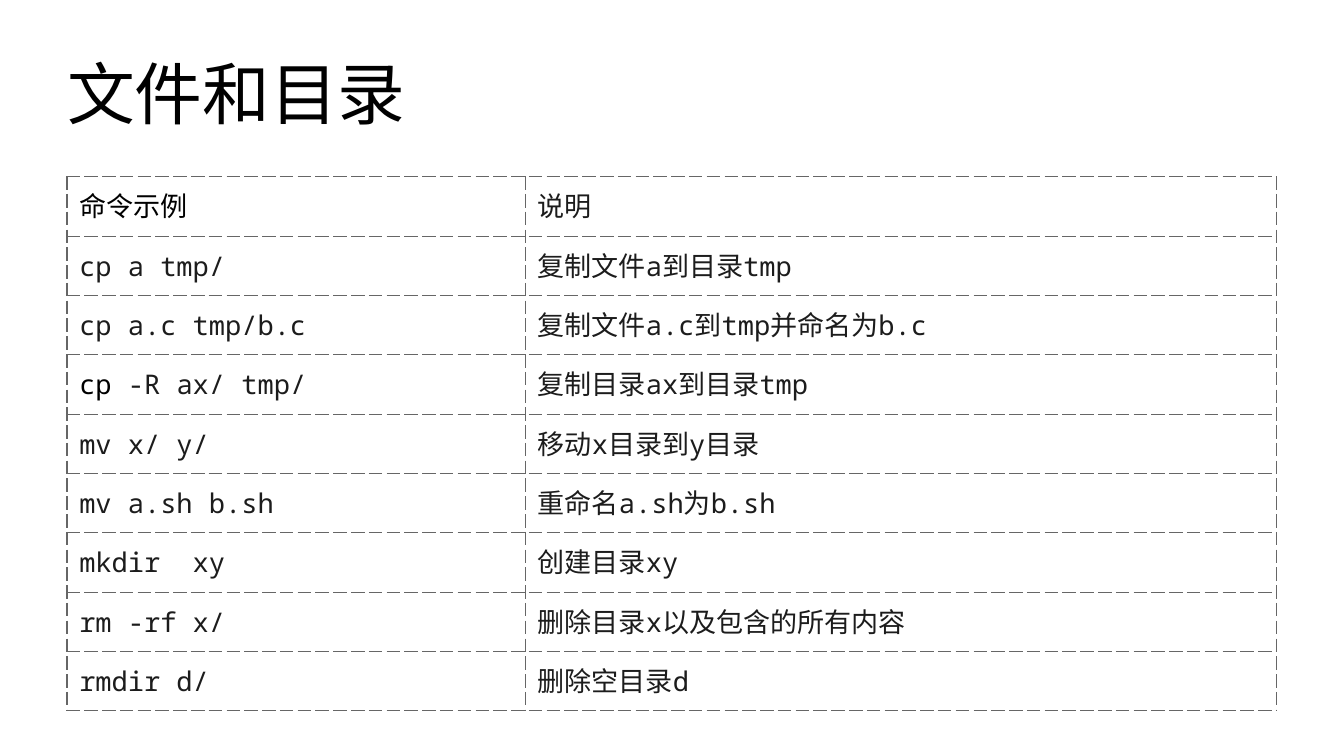
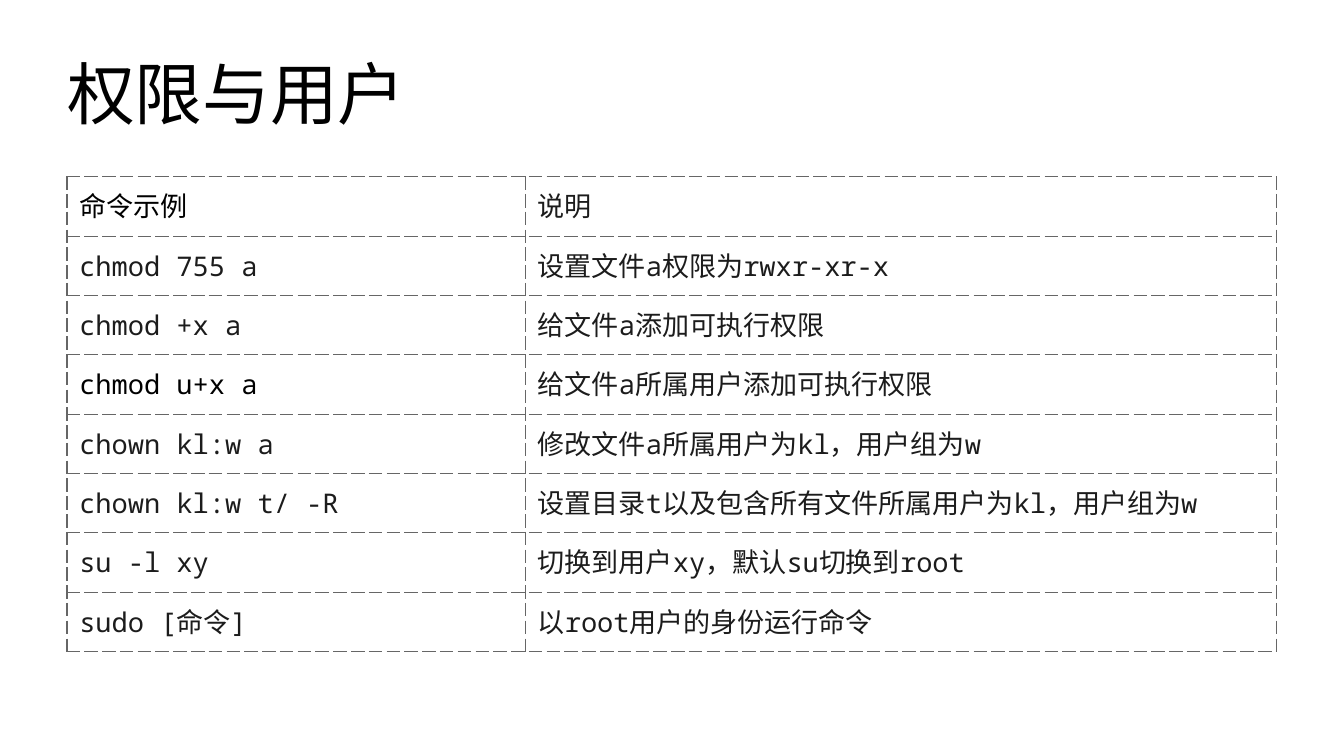
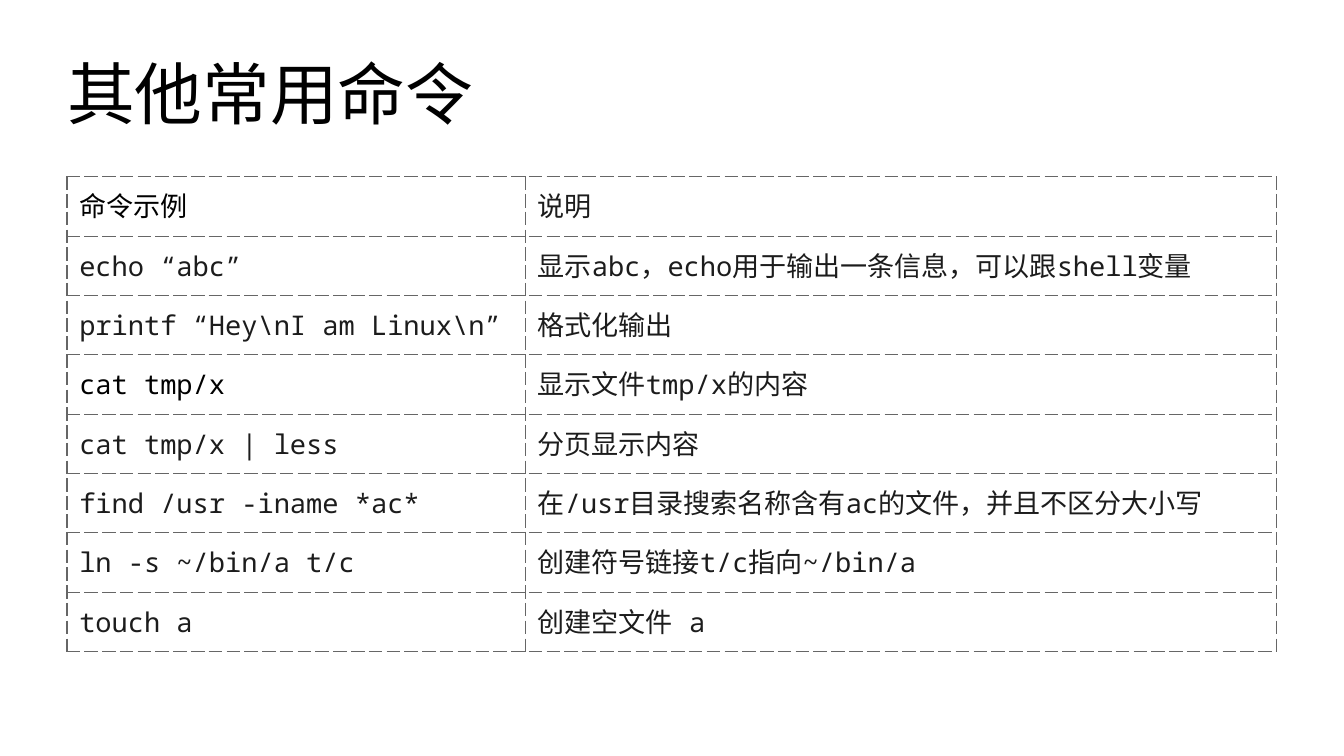
import pptx
import pptx.dml.color
import pptx.enum.lang
import pptx.enum.text
import pptx.oxml
import pptx.oxml.ns
import pptx.util
from pptx.util import Inches

BLACK = pptx.dml.color.RGBColor(0x00, 0x00, 0x00)
INK = pptx.dml.color.RGBColor(0x1C, 0x1C, 0x1C)
RULE = pptx.dml.color.RGBColor(0x66, 0x66, 0x66)

TITLE_FORMAT = {"name": "DejaVu Sans Mono", "size": pptx.util.Pt(40)}
CELL_FORMAT = {"name": "Noto Sans Mono", "size": pptx.util.Pt(16)}

# Content: a cell is a string in ink, or a list of (text, colour) spans
HEADER = ([("命令示例", BLACK)], "说明")
PAGES = [
    ("文件和目录", [
        ("cp a tmp/", "复制文件a到目录tmp"),
        ("cp a.c tmp/b.c", "复制文件a.c到tmp并命名为b.c"),
        ([("cp ", BLACK), ("-R ax/ tmp/", INK)], "复制目录ax到目录tmp"),
        ("mv x/ y/", "移动x目录到y目录"),
        ("mv a.sh b.sh", "重命名a.sh为b.sh"),
        ("mkdir  xy", "创建目录xy"),
        ("rm -rf x/", "删除目录x以及包含的所有内容"),
        ("rmdir d/", "删除空目录d"),
    ]),
    ("权限与用户", [
        ("chmod 755 a", "设置文件a权限为rwxr-xr-x"),
        ("chmod +x a", "给文件a添加可执行权限"),
        ([("chmod u+x a", BLACK)], "给文件a所属用户添加可执行权限"),
        ("chown kl:w a", "修改文件a所属用户为kl，用户组为w"),
        ("chown kl:w t/ -R", "设置目录t以及包含所有文件所属用户为kl，用户组为w"),
        ("su -l xy", "切换到用户xy，默认su切换到root"),
        ("sudo [命令]", "以root用户的身份运行命令"),
    ]),
    ("其他常用命令", [
        ("echo “abc”", "显示abc，echo用于输出一条信息，可以跟shell变量"),
        ("printf “Hey\\nI am Linux\\n”", "格式化输出"),
        ([("cat tmp/x", BLACK)], "显示文件tmp/x的内容"),
        ("cat tmp/x | less", "分页显示内容"),
        ("find /usr -iname *ac*", "在/usr目录搜索名称含有ac的文件，并且不区分大小写"),
        ("ln -s ~/bin/a t/c", "创建符号链接t/c指向~/bin/a"),
        ("touch a", "创建空文件 a"),
    ]),
]

# Layout
LEFT = Inches(0.55)
COLUMN_WIDTHS = [Inches(3.76), Inches(6.16)]
WIDTH = sum(COLUMN_WIDTHS)
TITLE_TOP, TITLE_HEIGHT = Inches(0.25), Inches(1.01)
TABLE_TOP = Inches(1.45)
ROW_HEIGHT = Inches(4.38) // 9
MIDDLE = pptx.enum.text.MSO_ANCHOR.MIDDLE


def set_attributes(target, values):
    for name, value in values.items():
        setattr(target, name, value)


def add_span(para, text, colour, font_format):
    span = para.add_run()
    span.text = text
    set_attributes(span.font, font_format)
    span.font.language_id = pptx.enum.lang.MSO_LANGUAGE_ID.SIMPLIFIED_CHINESE
    span.font.color.rgb = colour
    # East Asian text uses the same typeface as Latin text
    east_asian = pptx.oxml.parse_xml(
        f'<a:ea {pptx.oxml.ns.nsdecls("a")} typeface="{font_format["name"]}"/>')
    span.font._element.append(east_asian)


def add_title(page, text):
    title = page.shapes.title
    set_attributes(title, {"left": LEFT, "top": TITLE_TOP,
                           "width": WIDTH, "height": TITLE_HEIGHT})
    set_attributes(title.text_frame, {
        "margin_left": 0, "margin_right": 0, "margin_top": 0, "margin_bottom": 0,
        "vertical_anchor": MIDDLE, "word_wrap": True})
    para = title.text_frame.paragraphs[0]
    para.alignment = pptx.enum.text.PP_ALIGN.LEFT
    add_span(para, text, BLACK, TITLE_FORMAT)


def add_borders(cell):
    properties = cell._tc.get_or_add_tcPr()
    for index, side in enumerate("LRTB"):
        properties.insert(index, pptx.oxml.parse_xml(
            f'<a:ln{side} {pptx.oxml.ns.nsdecls("a")} w="{pptx.util.Pt(0.85)}">'
            f'<a:solidFill><a:srgbClr val="{RULE}"/></a:solidFill>'
            f'<a:prstDash val="dash"/></a:ln{side}>'))


def fill_cell(cell, content):
    set_attributes(cell, {
        "vertical_anchor": MIDDLE,
        "margin_left": Inches(0.1), "margin_right": Inches(0.1),
        "margin_top": Inches(0.05), "margin_bottom": Inches(0.05)})
    cell.fill.background()
    add_borders(cell)
    spans = [(content, INK)] if isinstance(content, str) else content
    for text, colour in spans:
        add_span(cell.text_frame.paragraphs[0], text, colour, CELL_FORMAT)


def add_command_table(page, rows):
    table = page.shapes.add_table(
        len(rows), len(COLUMN_WIDTHS), LEFT, TABLE_TOP,
        WIDTH, ROW_HEIGHT * len(rows)).table
    set_attributes(table, {"first_row": False, "horz_banding": False})
    for column, width in zip(table.columns, COLUMN_WIDTHS):
        column.width = width
    for table_row, contents in zip(table.rows, rows):
        table_row.height = ROW_HEIGHT
        for cell, content in zip(table_row.cells, contents):
            fill_cell(cell, content)


def main():
    deck = pptx.Presentation()
    set_attributes(deck, {"slide_width": Inches(11.02), "slide_height": Inches(6.2)})
    title_only = deck.slide_layouts[5]
    for title, commands in PAGES:
        page = deck.slides.add_slide(title_only)
        add_title(page, title)
        add_command_table(page, [HEADER] + commands)
    deck.save("out.pptx")


if __name__ == "__main__":
    main()
